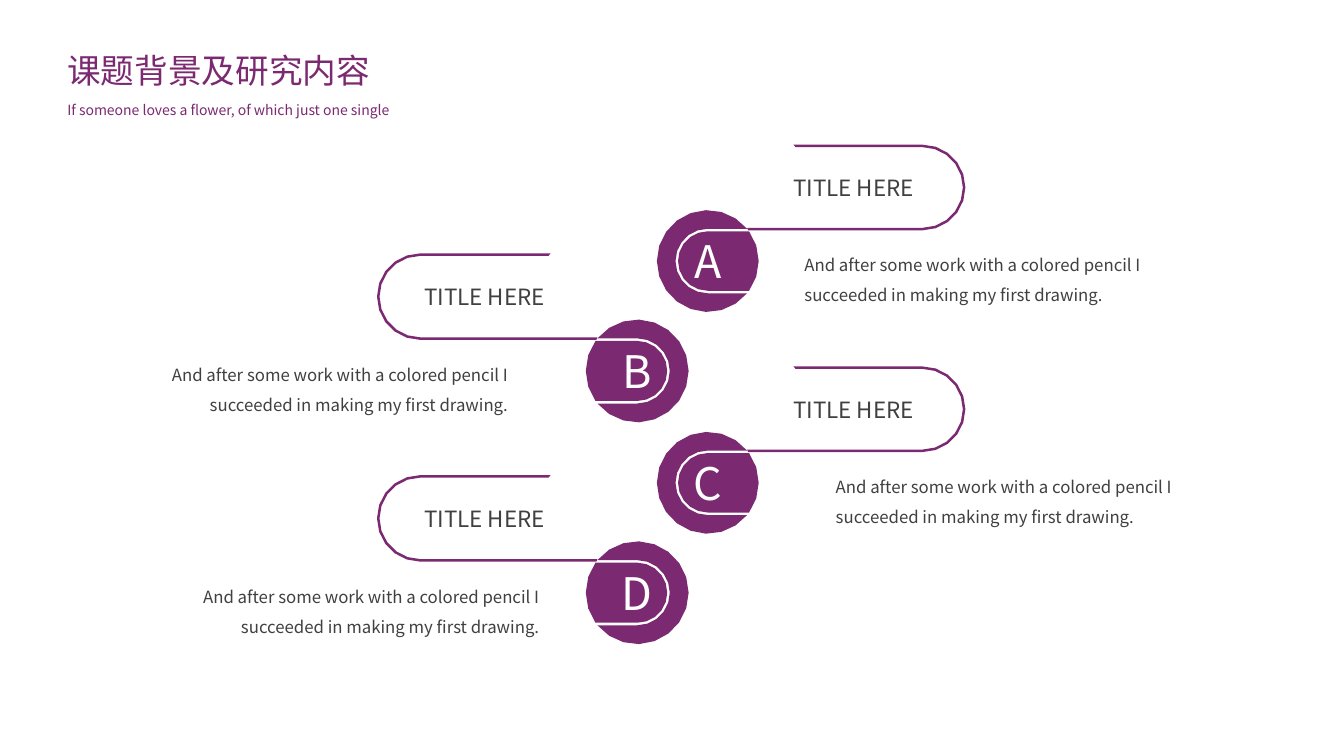
from math import asin, ceil, cos, pi, sin

from lxml import etree
from pptx import Presentation
from pptx.dml.color import RGBColor
from pptx.enum.text import MSO_ANCHOR, MSO_AUTO_SIZE, PP_ALIGN
from pptx.oxml.ns import qn
from pptx.util import Inches, Pt

LEFT, CENTER, RIGHT = PP_ALIGN.LEFT, PP_ALIGN.CENTER, PP_ALIGN.RIGHT
MIDDLE, GROW = MSO_ANCHOR.MIDDLE, MSO_AUTO_SIZE.SHAPE_TO_FIT_TEXT
COLORS = {"plum": "7B2971", "ink": "404040", "white": "FFFFFF"}
SC, JP = "Noto Sans CJK SC", "Noto Sans CJK JP"
BODY = "And after some work with a colored pencil I succeeded in making my first drawing."

ARC_STEP = pi / 10
DISC_R, INNER_R, OUTER_R = 0.505, 0.295, 0.32
HOOK_X, HOOK_Y, HOOK_R, HOOK_IN = 2.13, -0.73, 0.425, 0.4
HOOK_TOP, HOOK_END = 0.85, 0.39
ROW_STEP, BODY_SHIFT, BODY_RISE = 2.2, 0.31, 0.21
SIDES = (
    {"letters": "AC", "x": 7.02, "y": 2.59, "dir": 1, "scale": 1,
     "body_x": 7.88, "align": LEFT},
    {"letters": "BD", "x": 6.32, "y": 3.68, "dir": -1, "scale": 1.01,
     "body_x": 1.56, "align": RIGHT},
)


def arc(r, start, end, cx=0, cy=0):
    """Return points along an arc, with angles in radians and y downwards."""
    steps = ceil(round(abs(end - start) / ARC_STEP, 2))
    angles = [start + (end - start) * i / steps for i in range(steps + 1)]
    return [(cx + r * cos(a), cy + r * sin(a)) for a in angles]


def disc_contours():
    """Return the inner tongue and the outer crescent of a lettered disc."""
    inner, outer = asin(INNER_R / DISC_R), asin(OUTER_R / DISC_R)
    tongue = arc(INNER_R, pi / 2, 3 * pi / 2) + arc(DISC_R, -inner, inner)
    crescent = arc(DISC_R, outer, 2 * pi - outer) + arc(OUTER_R, 3 * pi / 2, pi / 2)
    return [tongue, crescent]


def hook_contours():
    """Return the band that bends from the disc around a title."""
    outside = arc(HOOK_R, -pi / 2, pi / 2, HOOK_X, HOOK_Y)
    inside = arc(HOOK_IN, pi / 2, -pi / 2, HOOK_X, HOOK_Y)
    ends = [(HOOK_END + 0.01, HOOK_Y + HOOK_R), (HOOK_END, HOOK_Y + HOOK_IN)]
    tips = [(HOOK_TOP + 0.02, HOOK_Y - HOOK_IN), (HOOK_TOP, HOOK_Y - HOOK_R)]
    return [outside + ends + inside + tips]


def write(tf, text, size, color, font=SC, align=LEFT, spacing=None):
    """Write one styled paragraph into a text frame."""
    p = tf.paragraphs[0]
    p.text, p.alignment = text, align
    if spacing:
        p.line_spacing = spacing
    f = p.font
    f.size, f.name = Pt(size), font
    f.color.rgb = RGBColor.from_string(COLORS[color])
    etree.SubElement(f._element, qn("a:ea")).set("typeface", font)


def add_text(s, x, y, w, h, text, size, color, wrap=True, **style):
    """Add a text box that grows with its text."""
    tf = s.shapes.add_textbox(Inches(x), Inches(y), Inches(w), Inches(h)).text_frame
    tf.word_wrap, tf.auto_size = wrap, GROW
    write(tf, text, size, color, **style)


def add_outline(s, contours, side, y, text, size, color, margin_right=0.1):
    """Add a filled outline, mirrored for its side, with centred text."""
    k = side["scale"]
    placed = [[(Inches(side["x"] + side["dir"] * k * px), Inches(y + k * py))
               for px, py in contour] for contour in contours]
    builder = s.shapes.build_freeform(*placed[0][0])
    for i, points in enumerate(placed):
        if i:
            builder.move_to(*points[0])
        builder.add_line_segments(points[1:], close=True)
    sp = builder.convert_to_shape()
    sp.shadow.inherit = False
    sp.fill.solid()
    sp.fill.fore_color.rgb = RGBColor.from_string(COLORS["plum"])
    sp.line.fill.background()
    tf = sp.text_frame
    tf.word_wrap, tf.vertical_anchor = True, MIDDLE
    tf.margin_right = Inches(margin_right)
    write(tf, text, size, color, align=CENTER)


def add_item(s, side, row, letter):
    """Add one lettered disc with its hook, title and body text."""
    y = side["y"] + row * ROW_STEP
    add_outline(s, disc_contours(), side, y, letter, 32, "white")
    add_outline(s, hook_contours(), side, y, "TITLE HERE", 16, "ink", margin_right=0.15)
    add_text(s, side["body_x"] + row * BODY_SHIFT, y - BODY_RISE, 3.58, 1.01,
             BODY, 12, "ink", align=side["align"], spacing=1.5)


def main():
    """Build the slide and save it."""
    prs = Presentation()
    prs.slide_width, prs.slide_height = Inches(13.33), Inches(7.5)
    s = prs.slides.add_slide(prs.slide_layouts[6])
    add_text(s, 0.57, 0.45, 3.2, 0.5, "课题背景及研究内容", 24, "plum", wrap=False)
    add_text(s, 0.57, 0.96, 3.76, 0.27,
             "If someone loves a flower, of which just one single", 10, "plum", font=JP)
    for row in range(2):
        for side in SIDES:
            add_item(s, side, row, side["letters"][row])
    prs.save("out.pptx")


if __name__ == "__main__":
    main()
